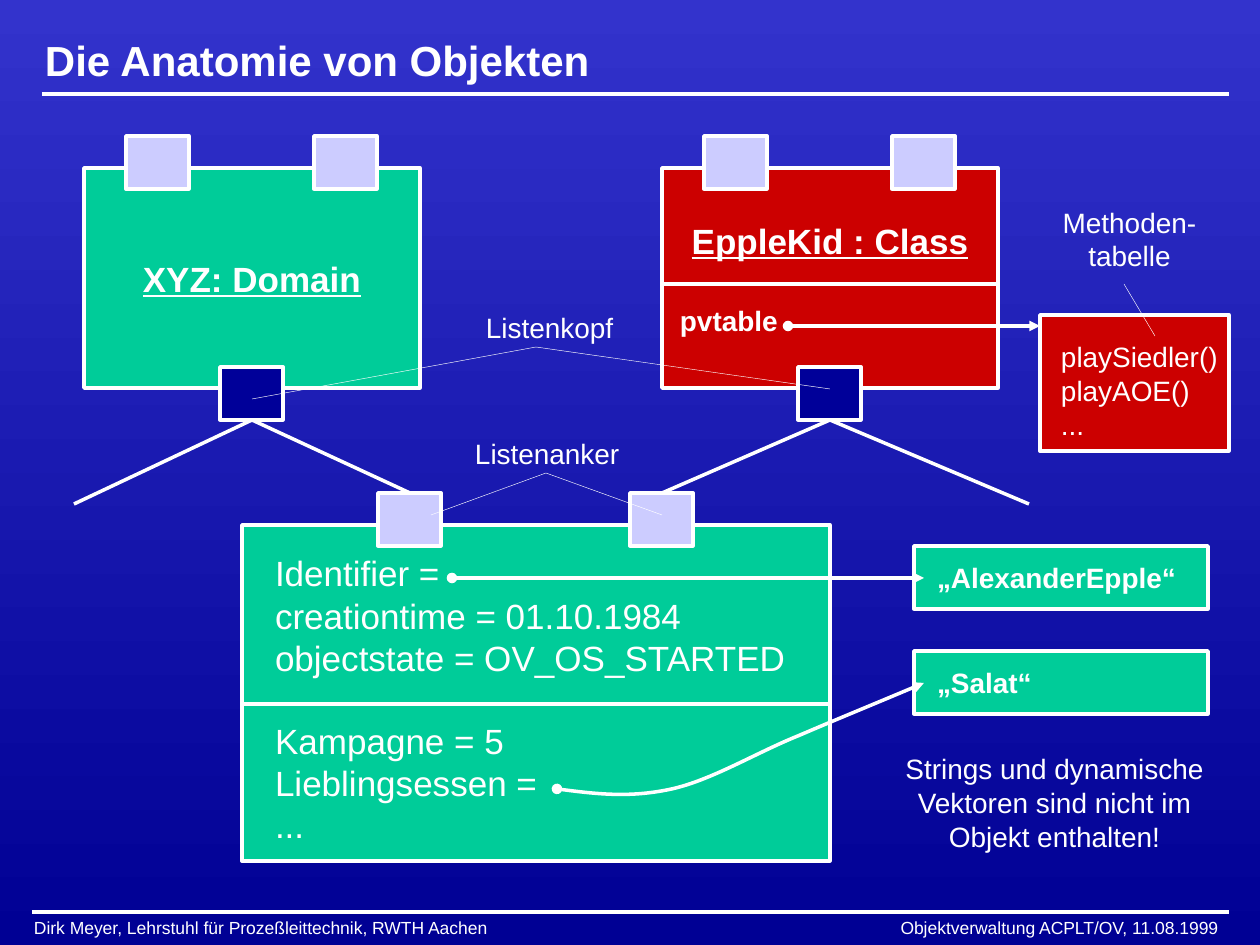
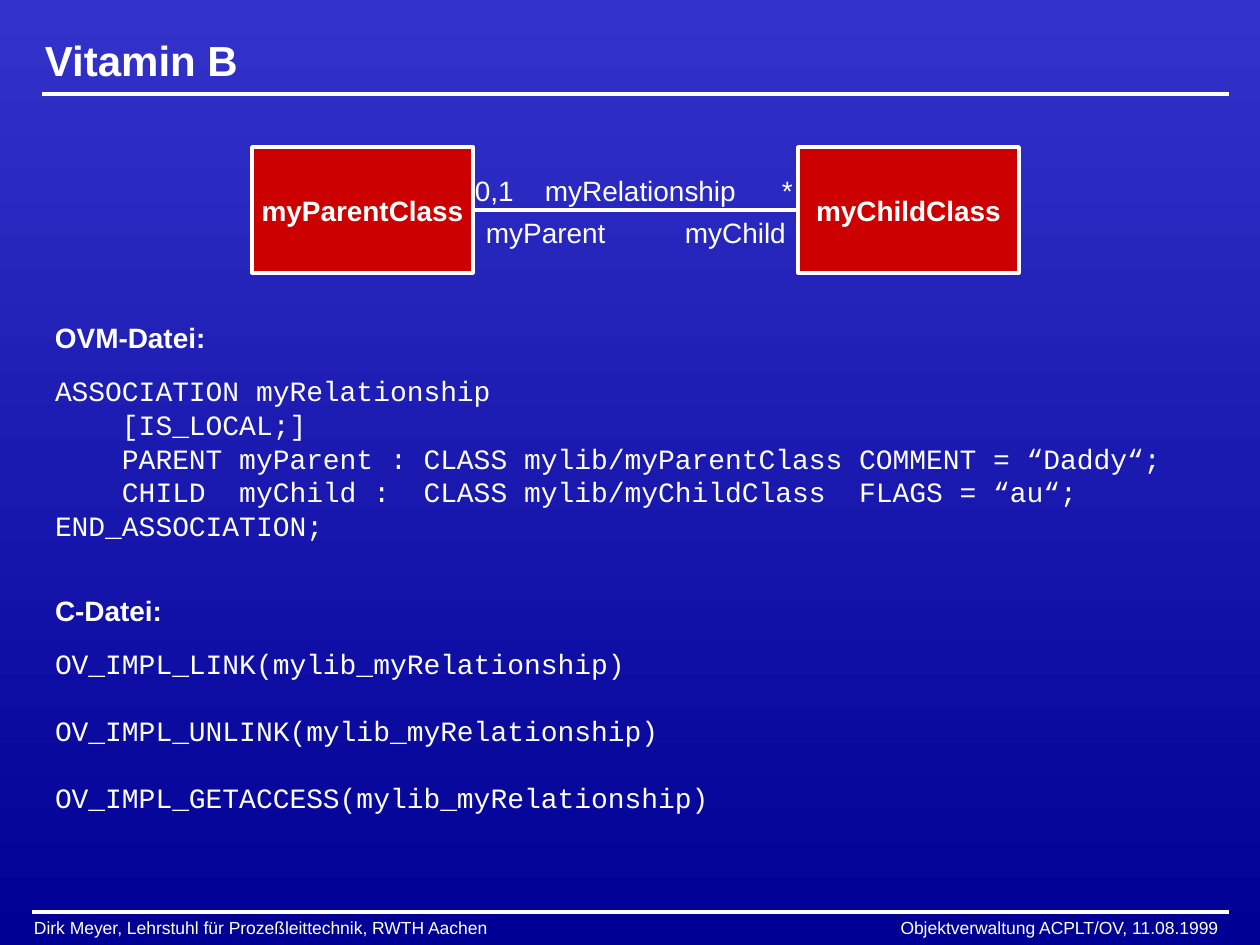
"""Build two slides on object anatomy and class relationships."""
import dataclasses

import lxml.etree
import pptx
import pptx.dml.color
import pptx.enum.shapes
import pptx.enum.text
import pptx.oxml.ns
import pptx.util

SCALE = 914400 / 126
PAGE_SIZE = (1260, 945)
INSET = (13, 6)
ALIGN = pptx.enum.text.PP_ALIGN
ANCHOR = pptx.enum.text.MSO_ANCHOR
qn = pptx.oxml.ns.qn


@dataclasses.dataclass(frozen=True)
class Theme:
    top: str = "3333CC"
    bottom: str = "000094"
    ink: str = "FFFFFF"
    instance: str = "00CC99"
    kind: str = "CC0000"
    head: str = "000099"
    anchor: str = "CCCCFF"
    sans: str = "Arial"
    mono: str = "Courier New"
    title: int = 24
    large: int = 20
    normal: int = 16
    small: int = 10
    leading: float = 1.2
    stroke: float = 2
    hairline: float = 0.25


THEME = Theme()

FOOTER = "Dirk Meyer, Lehrstuhl für Prozeßleittechnik, RWTH Aachen\tObjektverwaltung ACPLT/OV, 11.08.1999"
RULES = [((42, 94), (1229, 94)), ((32, 912), (1229, 912))]

ANATOMY_TITLE = "Die Anatomie von Objekten"
TAB_SIZE = (63, 53)
TAB_RISE = 32
NODES = [
    {"at": (242, 525, 588, 336), "fill": THEME.instance, "anchors": (136, 388)},
    {"at": (662, 168, 336, 220), "fill": THEME.kind, "anchors": (42, 230), "head": True},
    {"at": (84, 168, 336, 220), "fill": THEME.instance, "anchors": (42, 230), "head": True,
     "text": "XYZ: Domain"},
]
METHOD_TABLE = (1040, 315, 189, 136)
STRINGS = [("„AlexanderEpple“", 546), ("„Salat“", 651)]
STRING_LEFT, STRING_SIZE = 914, (294, 63)
DIVIDERS = [((242, 704), (830, 704)), ((662, 284), (998, 284))]
LINKS = [((252, 420), (410, 493)), ((252, 420), (74, 504)),
         ((830, 420), (662, 493)), ((830, 420), (1029, 504))]
CALLOUTS = [((546, 473), (431, 515)), ((546, 473), (662, 515)),
            ((536, 347), (252, 399)), ((536, 347), (830, 389)),
            ((1124, 284), (1155, 336))]
POINTERS = [((788, 326), (1040, 326)), ((452, 578), (924, 578))]
FOOD_CURVE = [(557, 789), (595, 794), (631, 798), (672, 789), (712, 780),
              (756, 753), (798, 736), (840, 718), (882, 701), (924, 683)]
ANATOMY_LABELS = [
    ((262, 546, 538, 139), ["Identifier =", "creationtime = 01.10.1984",
                            "objectstate = OV_OS_STARTED"], {"size": THEME.large}),
    ((262, 714, 538, 139), ["Kampagne = 5", "Lieblingsessen =", "..."], {"size": THEME.large}),
    ((662, 213, 336, 54), ["EppleKid : Class"],
     {"size": THEME.large, "bold": True, "underline": True, "align": ALIGN.CENTER}),
    ((667, 298, 124, 46), ["pvtable"], {"bold": True}),
    ((473, 305, 153, 46), ["Listenkopf"], {}),
    ((462, 431, 169, 46), ["Listenanker"], {}),
    ((1050, 199, 159, 80), ["Methoden-", "tabelle"], {"align": ALIGN.CENTER}),
    ((1048, 334, 181, 113), ["playSiedler()", "playAOE()", "..."], {}),
    ((893, 746, 323, 113), ["Strings und dynamische", "Vektoren sind nicht im",
                            "Objekt enthalten!"], {"align": ALIGN.CENTER}),
]

RELATION_TITLE = "Vitamin B"
CLASSES = [("myParentClass", 252), ("myChildClass", 798)]
CLASS_TOP, CLASS_SIZE = 147, (221, 126)
ASSOCIATION = [
    "ASSOCIATION myRelationship",
    "    [IS_LOCAL;]",
    "    PARENT myParent : CLASS mylib/myParentClass COMMENT = “Daddy“;",
    "    CHILD  myChild :  CLASS mylib/myChildClass  FLAGS = “au“;",
    "END_ASSOCIATION;",
]
MACROS = [f"OV_IMPL_{verb}(mylib_myRelationship)" for verb in ("LINK", "UNLINK", "GETACCESS")]
RELATION_LABELS = [
    ((462, 168, 343, 46), ["0,1\tmyRelationship\t*"], {"tabs": [(70, "l"), (307, "l")]}),
    ((473, 210, 145, 46), ["myParent"], {}),
    ((672, 210, 126, 46), ["myChild"], {}),
    ((42, 315, 175, 46), ["OVM-Datei:"], {"bold": True}),
    ((42, 368, 1176, 181), ASSOCIATION, {"font": THEME.mono}),
    ((42, 588, 132, 46), ["C-Datei:"], {"bold": True}),
    ((42, 640, 1176, 181), MACROS, {"font": THEME.mono, "gap": 1}),
]


def emu(*lengths):
    return [round(length * SCALE) for length in lengths]


def color(code):
    return pptx.dml.color.RGBColor.from_string(code)


def write(shape, lines, size=THEME.normal, font=THEME.sans, bold=False, underline=False,
          align=ALIGN.LEFT, anchor=ANCHOR.TOP, inset=INSET, gap=0, tabs=()):
    frame = shape.text_frame
    frame.text = "\n".join(lines)
    frame.word_wrap = False
    frame.auto_size = pptx.enum.text.MSO_AUTO_SIZE.NONE
    frame.vertical_anchor = anchor
    frame.margin_left, frame.margin_top = frame.margin_right, frame.margin_bottom = emu(*inset)
    leading = size * THEME.leading
    for index, para in enumerate(frame.paragraphs):
        para.alignment = align
        para.line_spacing = pptx.util.Pt(leading)
        para.space_before = pptx.util.Pt(leading * gap if index else 0)
        if tabs:
            stops = lxml.etree.SubElement(para._p.get_or_add_pPr(), qn("a:tabLst"))
            for place, side in tabs:
                lxml.etree.SubElement(stops, qn("a:tab"), pos=str(emu(place)[0]), algn=side)
        for span in para.runs:
            span.font.name = font
            span.font.size = pptx.util.Pt(size)
            span.font.bold = bold
            span.font.underline = underline
            span.font.color.rgb = color(THEME.ink)


def add_label(page, at, lines, style):
    write(page.shapes.add_textbox(*emu(*at)), lines, **style)


def stroke(shape, width=THEME.stroke, pointer=False):
    shape.line.color.rgb = color(THEME.ink)
    shape.line.width = pptx.util.Pt(width)
    if pointer:
        outline = shape.element.spPr.find(qn("a:ln"))
        lxml.etree.SubElement(outline, qn("a:headEnd"), type="oval")
        lxml.etree.SubElement(outline, qn("a:tailEnd"), type="triangle")


def add_box(page, at, fill, text="", **style):
    box = page.shapes.add_shape(pptx.enum.shapes.MSO_SHAPE.RECTANGLE, *emu(*at))
    box.shadow.inherit = False
    box.fill.solid()
    box.fill.fore_color.rgb = color(fill)
    stroke(box)
    if text:
        write(box, [text], bold=True, anchor=ANCHOR.MIDDLE, **style)


def add_lines(page, segments, width=THEME.stroke, pointer=False):
    for start, end in segments:
        line = page.shapes.add_connector(
            pptx.enum.shapes.MSO_CONNECTOR.STRAIGHT, *emu(*start, *end))
        stroke(line, width, pointer)
        lxml.etree.SubElement(line.element.spPr, qn("a:effectLst"))


def add_curve(page, points):
    builder = page.shapes.build_freeform(*points[0], scale=SCALE)
    builder.add_line_segments(points[1:], close=False)
    curve = builder.convert_to_shape()
    curve.shadow.inherit = False
    curve.fill.background()
    stroke(curve, pointer=True)
    route = curve.element.find(".//" + qn("a:path"))
    segments = route.findall(qn("a:lnTo"))
    for first in range(0, len(segments), 3):
        bend = lxml.etree.SubElement(route, qn("a:cubicBezTo"))
        for segment in segments[first:first + 3]:
            bend.append(segment[0])
            route.remove(segment)


def add_page(deck, title):
    page = deck.slides.add_slide(deck.slide_layouts.get_by_name("Title Only"))
    heading = page.shapes.title
    heading.left, heading.top, heading.width, heading.height = emu(32, 30, 1197, 60)
    write(heading, [title], size=THEME.title, bold=True, anchor=ANCHOR.MIDDLE)
    add_lines(page, RULES)
    add_label(page, (21, 911, 1239, 34), [FOOTER],
              {"size": THEME.small, "tabs": [(1184, "r")]})
    return page


def add_node(page, node):
    left, top, width, height = node["at"]
    tab_width, tab_height = TAB_SIZE
    add_box(page, node["at"], node["fill"], node.get("text", ""),
            size=THEME.large, underline=True, align=ALIGN.CENTER)
    for offset in node["anchors"]:
        add_box(page, (left + offset, top - TAB_RISE, *TAB_SIZE), THEME.anchor)
    if node.get("head"):
        middle = left + (width - tab_width) // 2
        add_box(page, (middle, top + height + TAB_RISE - tab_height, *TAB_SIZE), THEME.head)


def build_anatomy(deck):
    page = add_page(deck, ANATOMY_TITLE)
    add_box(page, METHOD_TABLE, THEME.kind)
    for text, top in STRINGS:
        add_box(page, (STRING_LEFT, top, *STRING_SIZE), THEME.instance, text, inset=(23, 6))
    add_lines(page, LINKS)
    for node in NODES:
        add_node(page, node)
    add_lines(page, DIVIDERS)
    for label in ANATOMY_LABELS:
        add_label(page, *label)
    add_lines(page, CALLOUTS, THEME.hairline)
    add_lines(page, POINTERS, pointer=True)
    add_curve(page, FOOD_CURVE)


def build_relation(deck):
    page = add_page(deck, RELATION_TITLE)
    for name, left in CLASSES:
        add_box(page, (left, CLASS_TOP, *CLASS_SIZE), THEME.kind, name, align=ALIGN.CENTER)
    add_lines(page, [((473, 210), (798, 210))])
    for label in RELATION_LABELS:
        add_label(page, *label)


def main():
    deck = pptx.Presentation()
    deck.slide_width, deck.slide_height = emu(*PAGE_SIZE)
    backdrop = deck.slide_master.background.fill
    backdrop.gradient()
    backdrop.gradient_angle = 270
    for stop, code in zip(backdrop.gradient_stops, (THEME.top, THEME.bottom)):
        stop.color.rgb = color(code)
    build_anatomy(deck)
    build_relation(deck)
    deck.save("out.pptx")


if __name__ == "__main__":
    main()
